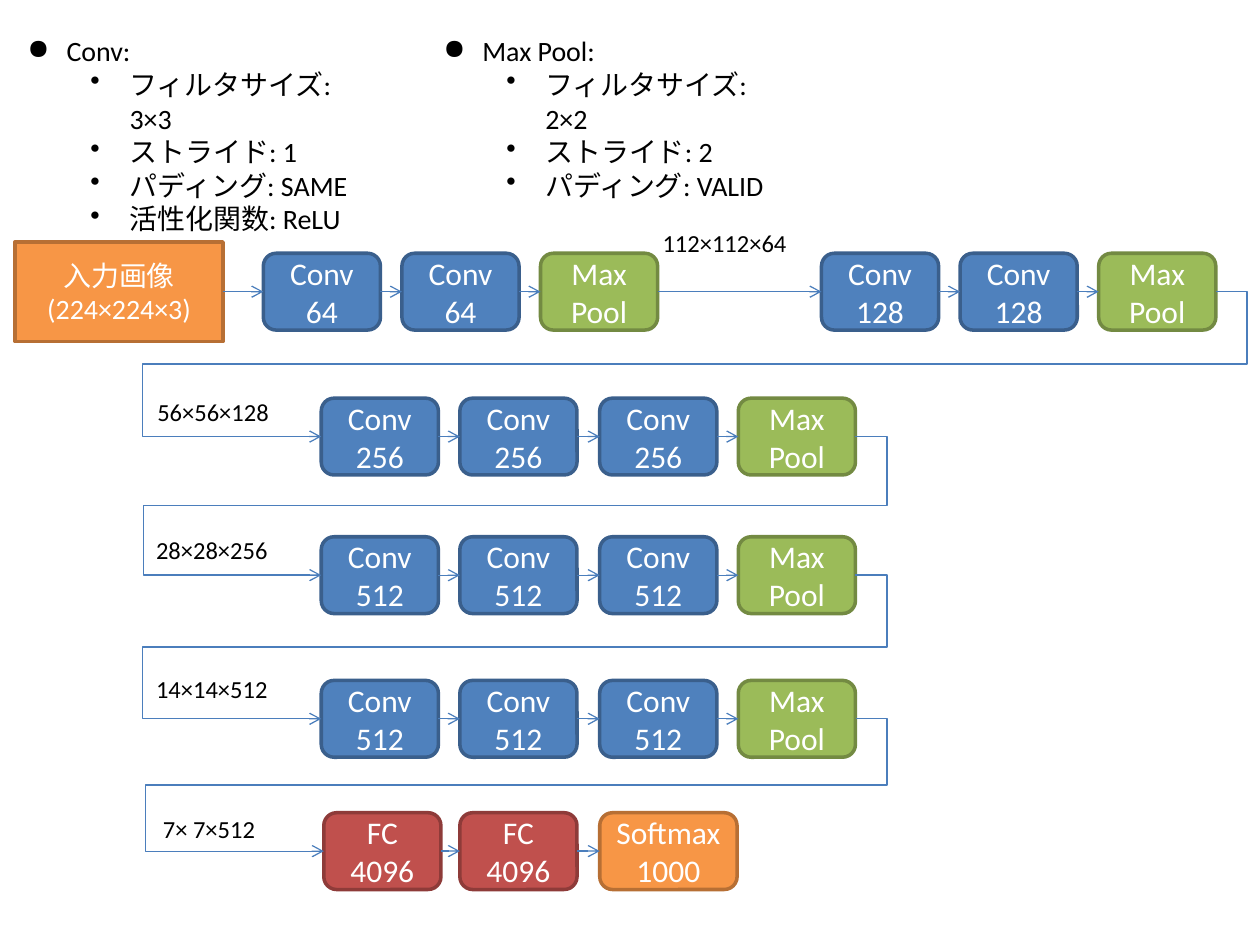
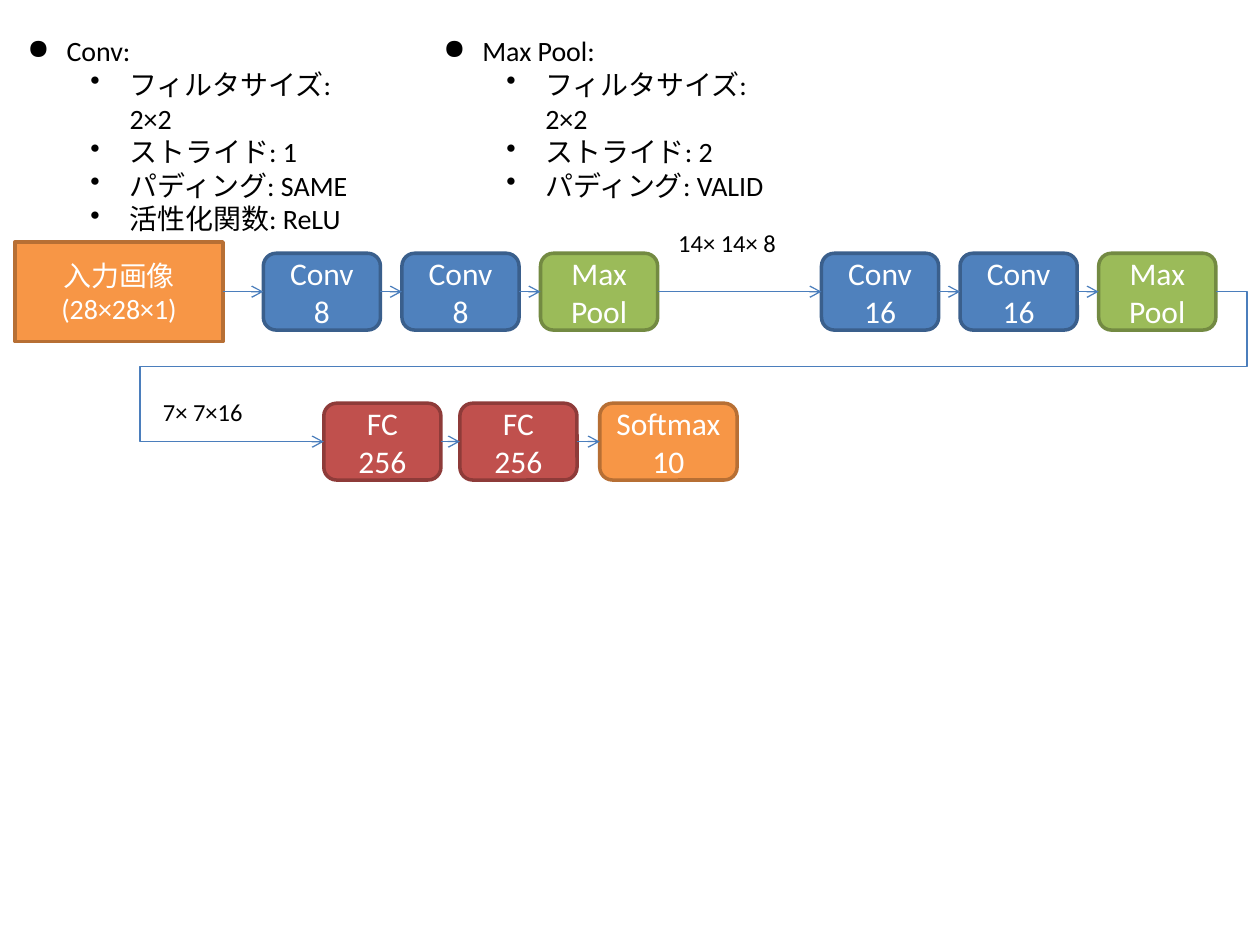
import pptx
import pptx.util
import pptx.dml.color
import pptx.enum.shapes
import pptx.enum.text
import pptx.oxml
import pptx.oxml.ns
from lxml import etree

PX = 9144  # 100 px to the inch
COLORS = {
    "blue": "4F81BD", "blue edge": "3A5F8C",
    "green": "9BBB59", "green edge": "738A42",
    "red": "C0504D", "red edge": "8E3B39",
    "orange": "F79646", "orange edge": "B76F34",
    "arrow": "4B7EBC", "white": "FFFFFF", "black": "000000",
}
RGB = {name: pptx.dml.color.RGBColor.from_string(value) for name, value in COLORS.items()}
FONTS = {
    "block": {"name": "Calibri", "size": pptx.util.Pt(18)},
    "body": {"name": "Calibri", "size": pptx.util.Pt(16)},
    "size label": {"name": "Calibri", "size": pptx.util.Pt(14)},
}
SHAPES = pptx.enum.shapes.MSO_SHAPE
CONNECTORS = pptx.enum.shapes.MSO_CONNECTOR
CENTER = pptx.enum.text.PP_ALIGN.CENTER

# Kind of block: colour, width, height, outline, font
BLOCKS = {
    "入力画像": ("orange", 165, 79, SHAPES.RECTANGLE, "body"),
    "Conv": ("blue", 93, 61, SHAPES.ROUNDED_RECTANGLE, "block"),
    "Max Pool": ("green", 93, 61, SHAPES.ROUNDED_RECTANGLE, "block"),
    "FC": ("red", 93, 61, SHAPES.ROUNDED_RECTANGLE, "block"),
    "Softmax": ("orange", 109, 61, SHAPES.ROUNDED_RECTANGLE, "block"),
}
ROW_HEIGHT = 61
OVERHANG = 25  # how far a wrapping arrow runs out to the right

FIRST_COLUMNS = [12, 209, 319, 429, 652, 762, 872]
CONV_COLUMNS = [255, 365, 476, 586]
DENSE_COLUMNS = [257, 365, 476]


def add_text(frame, lines, font, color, align=None):
    for index, line in enumerate(lines):
        paragraph = frame.paragraphs[0] if index == 0 else frame.add_paragraph()
        paragraph.text = line
        paragraph.alignment = align
        for attribute, value in FONTS[font].items():
            setattr(paragraph.font, attribute, value)
        paragraph.font.color.rgb = RGB[color]


def add_arrow(slide, start, end, turn_x=None):
    """Join two blocks; with turn_x the arrow wraps round to the next row."""
    kind = CONNECTORS.STRAIGHT if turn_x is None else CONNECTORS.ELBOW
    connector = slide.shapes.add_connector(
        kind, start.left + start.width, start.top + start.height // 2,
        end.left, end.top + end.height // 2)
    connector.begin_connect(start, 3)
    connector.end_connect(end, 1)
    connector.line.color.rgb = RGB["arrow"]
    connector.line.width = pptx.util.Pt(0.75)
    line = connector.line._get_or_add_ln()
    etree.SubElement(line, pptx.oxml.ns.qn("a:tailEnd"), type="arrow")
    properties = connector._element.spPr
    etree.SubElement(properties, pptx.oxml.ns.qn("a:effectLst"))
    if turn_x is not None:
        geometry = properties.find(pptx.oxml.ns.qn("a:prstGeom"))
        geometry.set("prst", "bentConnector5")
        guides = geometry.find(pptx.oxml.ns.qn("a:avLst"))
        span = connector.begin_x - connector.end_x
        bends = [-OVERHANG * PX / span, 0.5, (connector.begin_x - turn_x * PX) / span]
        for number, bend in enumerate(bends, 1):
            etree.SubElement(guides, pptx.oxml.ns.qn("a:gd"), name=f"adj{number}",
                             fmla=f"val {round(bend * 100000)}")


# Rows: top, turn of the incoming arrow, columns, blocks
# Size labels: left, top, width, text
NETWORKS = [
    {
        "filter": "3×3",
        "rows": [
            (201, None, FIRST_COLUMNS,
             [("入力画像", "(224×224×3)"), ("Conv", "64"), ("Conv", "64"), ("Max Pool",),
              ("Conv", "128"), ("Conv", "128"), ("Max Pool",)]),
            (316, 113, CONV_COLUMNS, [("Conv", "256")] * 3 + [("Max Pool",)]),
            (426, 114, CONV_COLUMNS, [("Conv", "512")] * 3 + [("Max Pool",)]),
            (540, 113, CONV_COLUMNS, [("Conv", "512")] * 3 + [("Max Pool",)]),
            (645, 115, DENSE_COLUMNS, [("FC", "4096")] * 2 + [("Softmax", "1000")]),
        ],
        "sizes": [(516, 176, 139, "112×112×64"), (115, 310, 129, "56×56×128"),
                  (114, 420, 129, "28×28×256"), (114, 530, 129, "14×14×512"),
                  (115, 641, 118, " 7× 7×512")],
    },
    {
        "filter": "2×2",
        "rows": [
            (201, None, FIRST_COLUMNS,
             [("入力画像", "(28×28×1)"), ("Conv", "8"), ("Conv", "8"), ("Max Pool",),
              ("Conv", "16"), ("Conv", "16"), ("Max Pool",)]),
            (320, 111, DENSE_COLUMNS, [("FC", "256")] * 2 + [("Softmax", "10")]),
        ],
        "sizes": [(524, 176, 123, " 14× 14× 8"), (115, 310, 108, " 7× 7×16")],
    },
]

presentation = pptx.Presentation()
presentation.slide_width = 1000 * PX
presentation.slide_height = 750 * PX

for network in NETWORKS:
    slide = presentation.slides.add_slide(presentation.slide_layouts[6])

    # Blocks, each joined to the one before
    previous = None
    for row_top, turn_x, columns, blocks in network["rows"]:
        for column, (left, lines) in enumerate(zip(columns, blocks)):
            color, width, height, outline, font = BLOCKS[lines[0]]
            top = row_top - (height - ROW_HEIGHT) // 2
            block = slide.shapes.add_shape(outline, left * PX, top * PX, width * PX, height * PX)
            block.shadow.inherit = False
            block.fill.solid()
            block.fill.fore_color.rgb = RGB[color]
            block.line.color.rgb = RGB[f"{color} edge"]
            block.line.width = pptx.util.Pt(2)
            block.text_frame.word_wrap = True
            block.text_frame.vertical_anchor = pptx.enum.text.MSO_ANCHOR.MIDDLE
            add_text(block.text_frame, lines, font, "white", CENTER)
            if previous is not None:
                add_arrow(slide, previous, block, turn_x if column == 0 else None)
            previous = block

    # Sizes of the data between stages
    for left, top, width, size in network["sizes"]:
        label = slide.shapes.add_textbox(left * PX, top * PX, width * PX, 34 * PX)
        label.text_frame.word_wrap = False
        label.text_frame.auto_size = pptx.enum.text.MSO_AUTO_SIZE.SHAPE_TO_FIT_TEXT
        add_text(label.text_frame, [size], "size label", "black")

    # Layer settings
    settings = [
        (12, 145, ["Conv:", f"フィルタサイズ: {network['filter']}", "ストライド: 1",
                   "パディング: SAME", "活性化関数: ReLU"]),
        (342, 118, ["Max Pool:", "フィルタサイズ: 2×2", "ストライド: 2", "パディング: VALID"]),
    ]
    for left, height, lines in settings:
        box = slide.shapes.add_textbox(left * PX, 22 * PX, 296 * PX, height * PX)
        box.text_frame.word_wrap = True
        box.text_frame.auto_size = pptx.enum.text.MSO_AUTO_SIZE.SHAPE_TO_FIT_TEXT
        add_text(box.text_frame, lines, "body", "black")
        for index, paragraph in enumerate(box.text_frame.paragraphs):
            level, indent, bullet = (0, 31, "●") if index == 0 else (1, 81, "•")
            paragraph.level = level
            properties = paragraph._p.get_or_add_pPr()
            properties.set("marL", str(indent * PX))
            properties.set("indent", str(-31 * PX))
            mark = etree.Element(pptx.oxml.ns.qn("a:buChar"), char=bullet)
            properties.insert(0, mark)  # ahead of the font settings

presentation.save("out.pptx")
